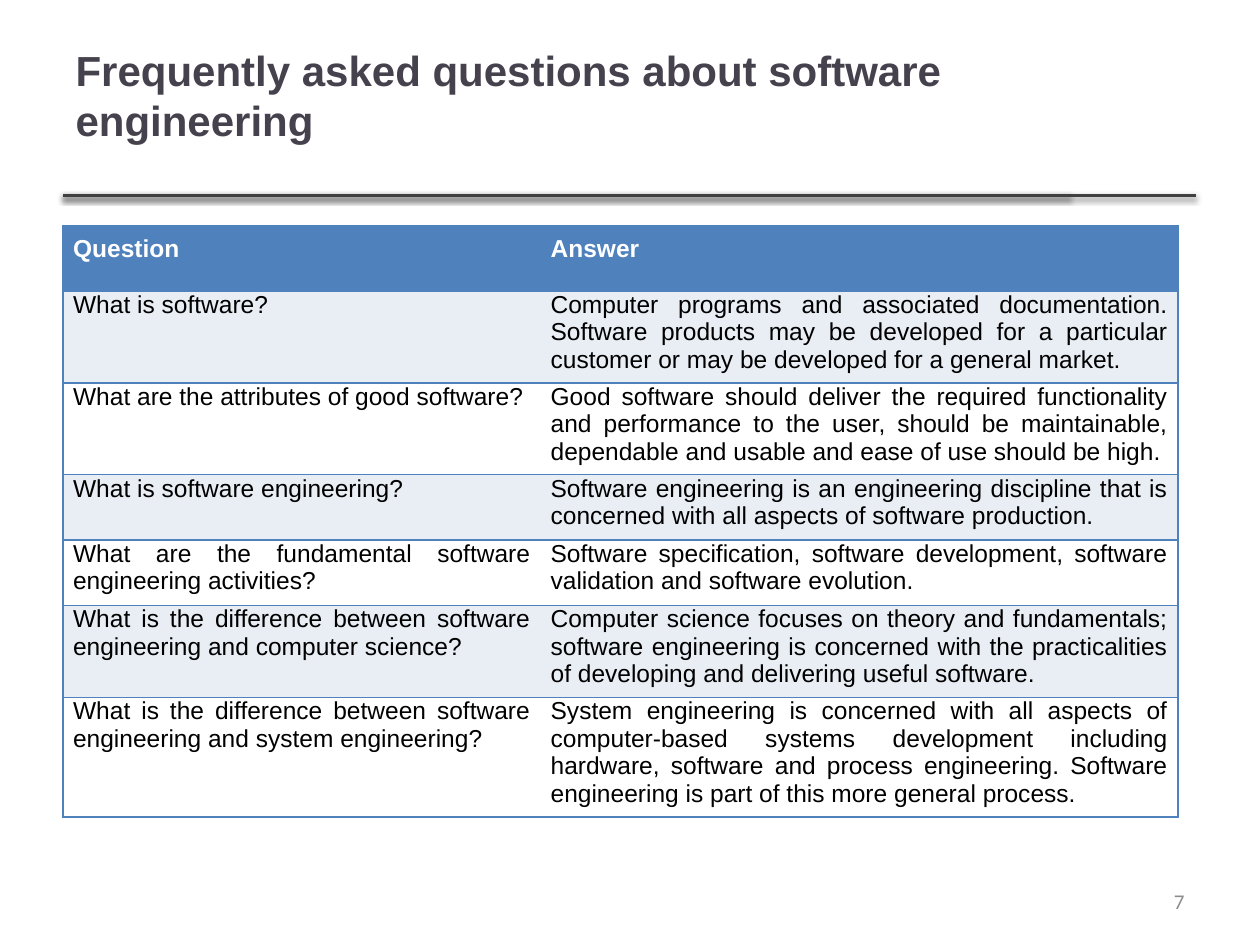
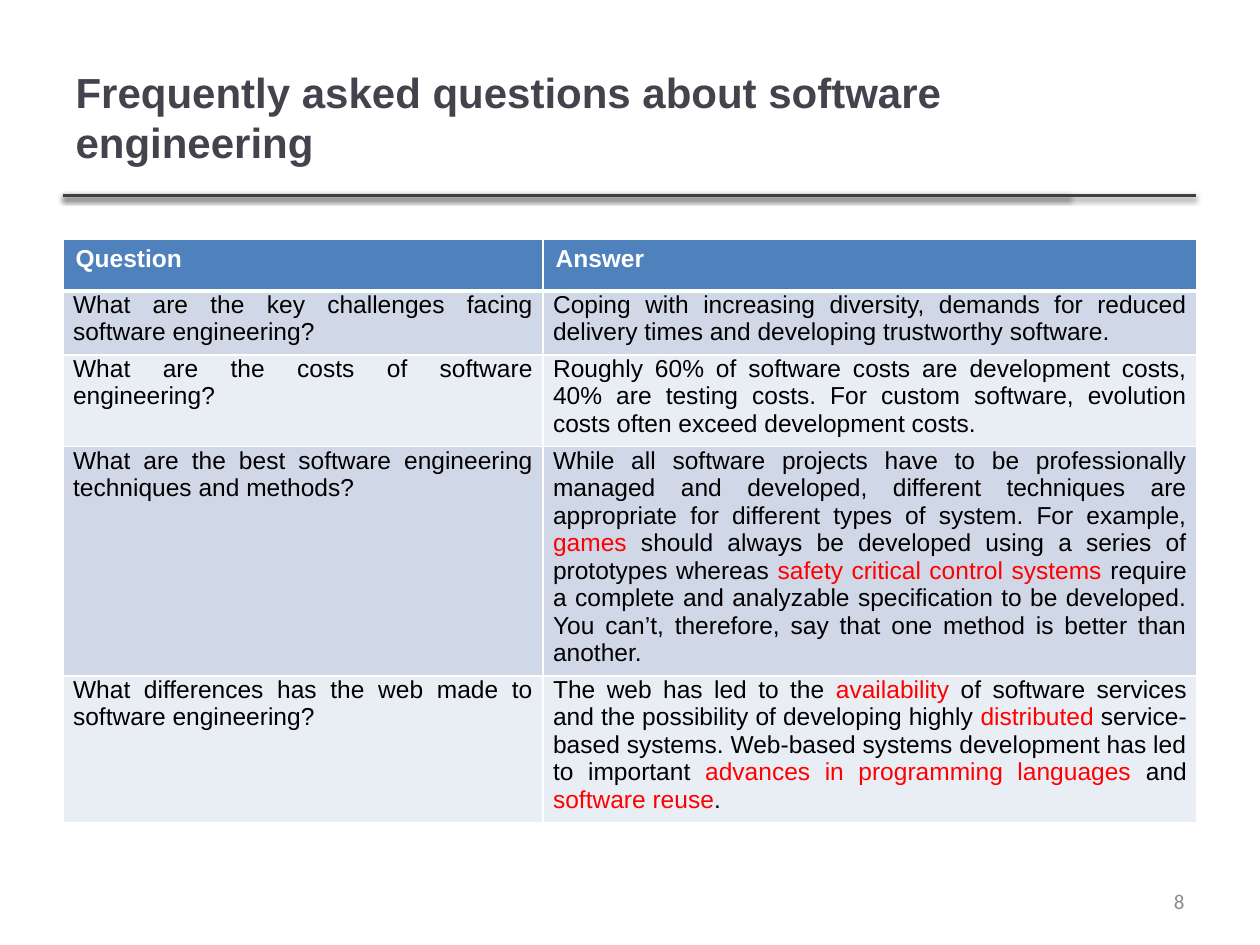
from lxml import etree
from pptx import Presentation
from pptx.dml.color import RGBColor
from pptx.enum.shapes import MSO_CONNECTOR
from pptx.enum.text import MSO_ANCHOR, MSO_AUTO_SIZE, PP_ALIGN
from pptx.oxml import parse_xml
from pptx.oxml.ns import nsdecls, qn
from pptx.util import Pt

LEFT, RIGHT, JUSTIFY = PP_ALIGN.LEFT, PP_ALIGN.RIGHT, PP_ALIGN.JUSTIFY
MIDDLE, TOP = MSO_ANCHOR.MIDDLE, MSO_ANCHOR.TOP
STRAIGHT = MSO_CONNECTOR.STRAIGHT

BLUE, PALE, MIST, WHITE = "4F81BD", "E9EDF4", "D0D8E8", "FFFFFF"
BLACK, RED, TITLE_INK, RULE, NUMBER_INK = "000000", "FF0000", "46424D", "404040", "8C8C8C"
MARGIN = 36
RULE_TOP = 111.6
RULE_ENDS = (611.3, 683.3)
BODY_INSETS = (5.76, 0, 5.76, 5.04)  # left, top, right, bottom
TITLE = "Frequently asked questions about software engineering"
HEADINGS = ("Question", "Answer")

# Words between asterisks are highlighted in red.
PAGES = [
    {
        "number": 7,
        "title_size": (605.5, 92.9),
        "title_bottom_inset": 31.6,
        "table_top": 128.9,
        "columns": (272.9, 364.3),
        "rows": (37.4, 52.5, 52.5, 37.4, 37.4, 52.5, 68.2),
        "bands": (PALE, WHITE),
        "heading_insets": (5.76, 5.76, 5.76, 5.76),
        "heading_align": JUSTIFY,
        "line_color": BLUE,
        "heading_rule": 1,
        "inner_vertical": False,
        "faq": [
            ("What is software?",
             "Computer programs and associated documentation. Software products may be "
             "developed for a particular customer or may be developed for a general market."),
            ("What are the attributes of good software?",
             "Good software should deliver the required functionality and performance to the "
             "user, should be maintainable, dependable and usable and ease of use should be high."),
            ("What is software engineering?",
             "Software engineering is an engineering discipline that is concerned with all "
             "aspects of software production."),
            ("What are the fundamental software engineering activities?",
             "Software specification, software development, software validation and "
             "software evolution."),
            ("What is the difference between software engineering and computer science?",
             "Computer science focuses on theory and fundamentals; software engineering is "
             "concerned with the practicalities of developing and delivering useful software."),
            ("What is the difference between software engineering and system engineering?",
             "System engineering is concerned with all aspects of computer-based systems "
             "development including hardware, software and process engineering. Software "
             "engineering is part of this more general process."),
        ],
    },
    {
        "number": 8,
        "title_size": (574.6, 90),
        "title_bottom_inset": 3.6,
        "table_top": 136.8,
        "columns": (274.3, 373.7),
        "rows": (29.5, 36.5, 52.5, 131, 84),
        "bands": (MIST, PALE),
        "heading_insets": (7.2, 3.6, 7.2, 3.6),
        "heading_align": LEFT,
        "line_color": WHITE,
        "heading_rule": 3,
        "inner_vertical": True,
        "faq": [
            ("What are the key challenges facing software engineering?",
             "Coping with increasing diversity, demands for reduced delivery times and "
             "developing trustworthy software."),
            ("What are the costs of software engineering?",
             "Roughly 60% of software costs are development costs, 40% are testing costs. "
             "For custom software, evolution costs often exceed development costs."),
            ("What are the best software engineering techniques and methods?",
             "While all software projects have to be professionally managed and developed, "
             "different techniques are appropriate for different types of system. For example, "
             "*games* should always be developed using a series of prototypes whereas "
             "*safety critical control systems *require a complete and analyzable specification "
             "to be developed. You can’t, therefore, say that one method is better than another."),
            ("What differences has the web made to software engineering?",
             "The web has led to the *availability *of software services and the possibility of "
             "developing highly *distributed* service-based systems. Web-based systems "
             "development has led to important *advances in programming languages *and "
             "*software reuse*."),
        ],
    },
]


def color(code):
    return RGBColor.from_string(code)


def apply(target, **values):
    for name, value in values.items():
        setattr(target, name, value)


def set_insets(target, insets):
    sides = ("margin_left", "margin_top", "margin_right", "margin_bottom")
    apply(target, **{side: Pt(inset) for side, inset in zip(sides, insets)})


def add_span(para, text, size, ink, font="Arial", bold=False):
    span = para.add_run()
    span.text = text
    apply(span.font, size=Pt(size), name=font, bold=bold)
    span.font.color.rgb = color(ink)


def add_rules(page, layout):
    """Draw the two shadowed title rules and move them to the layout."""
    for end in RULE_ENDS:
        rule = page.shapes.add_connector(STRAIGHT, Pt(MARGIN), Pt(RULE_TOP), Pt(end), Pt(RULE_TOP))
        rule.line.color.rgb = color(RULE)
        rule.line.width = Pt(2)
        rule.element.spPr.append(parse_xml(
            f'<a:effectLst {nsdecls("a")}><a:outerShdw blurRad="{Pt(3.1)}" dist="{Pt(1.6)}" '
            f'dir="5400000" rotWithShape="0"><a:srgbClr val="{BLACK}"><a:alpha val="38000"/>'
            '</a:srgbClr></a:outerShdw></a:effectLst>'))
        layout.shapes.element.append(rule.element)


def add_title(page, size, bottom_inset):
    title = page.shapes.title
    width, height = size
    apply(title, left=Pt(MARGIN), top=Pt(21.6), width=Pt(width), height=Pt(height))
    frame = title.text_frame
    apply(frame, word_wrap=True, auto_size=MSO_AUTO_SIZE.NONE, vertical_anchor=MIDDLE)
    set_insets(frame, (7.2, 3.6, 7.2, bottom_inset))
    para = frame.paragraphs[0]
    para.alignment = LEFT
    add_span(para, TITLE, 24, TITLE_INK, bold=True)


def set_borders(cell, widths, line_color):
    """Set left, right, top and bottom borders; a zero width hides the border."""
    properties = cell._tc.get_or_add_tcPr()
    for index, (side, width) in enumerate(zip("LRTB", widths)):
        border = etree.Element(qn(f"a:ln{side}"), w=str(Pt(width)))
        if width:
            fill = etree.SubElement(border, qn("a:solidFill"))
            etree.SubElement(fill, qn("a:srgbClr"), val=line_color)
        else:
            etree.SubElement(border, qn("a:noFill"))
        properties.insert(index, border)


def add_faq_table(page, plan):
    columns, rows = plan["columns"], plan["rows"]
    table = page.shapes.add_table(
        len(rows), len(columns), Pt(MARGIN), Pt(plan["table_top"]),
        Pt(sum(columns)), Pt(sum(rows))).table
    table.horz_banding = False
    for column, width in zip(table.columns, columns):
        column.width = Pt(width)
    for row, height in zip(table.rows, rows):
        row.height = Pt(height)

    inner = int(plan["inner_vertical"])
    for r, texts in enumerate([HEADINGS] + plan["faq"]):
        heading = r == 0
        for c, text in enumerate(texts):
            cell = table.cell(r, c)
            cell.vertical_anchor = TOP
            set_insets(cell, plan["heading_insets"] if heading else BODY_INSETS)
            cell.fill.solid()
            cell.fill.fore_color.rgb = color(BLUE if heading else plan["bands"][(r - 1) % 2])
            above = plan["heading_rule"] if r == 1 else 1
            below = plan["heading_rule"] if heading else 1
            sides = (1, inner) if c == 0 else (inner, 1)
            set_borders(cell, (*sides, above, below), plan["line_color"])
            para = cell.text_frame.paragraphs[0]
            para.alignment = plan["heading_align"] if heading else JUSTIFY
            for index, part in enumerate(text.split("*")):
                ink = WHITE if heading else RED if index % 2 else BLACK
                add_span(para, part, 14, ink, bold=heading)


def add_page_number(page, number):
    box = page.shapes.add_textbox(Pt(516), Pt(500.4), Pt(168), Pt(28.8))
    apply(box.text_frame, word_wrap=True, vertical_anchor=MIDDLE)
    para = box.text_frame.paragraphs[0]
    para.alignment = RIGHT
    add_span(para, str(number), 12, NUMBER_INK, font="Calibri")


def main():
    deck = Presentation()
    apply(deck, slide_width=Pt(720), slide_height=Pt(540))
    layout = deck.slide_layouts.get_by_name("Title Only")
    for plan in PAGES:
        page = deck.slides.add_slide(layout)
        if plan is PAGES[0]:
            add_rules(page, layout)
        add_title(page, plan["title_size"], plan["title_bottom_inset"])
        add_faq_table(page, plan)
        add_page_number(page, plan["number"])
    deck.save("out.pptx")


if __name__ == "__main__":
    main()
